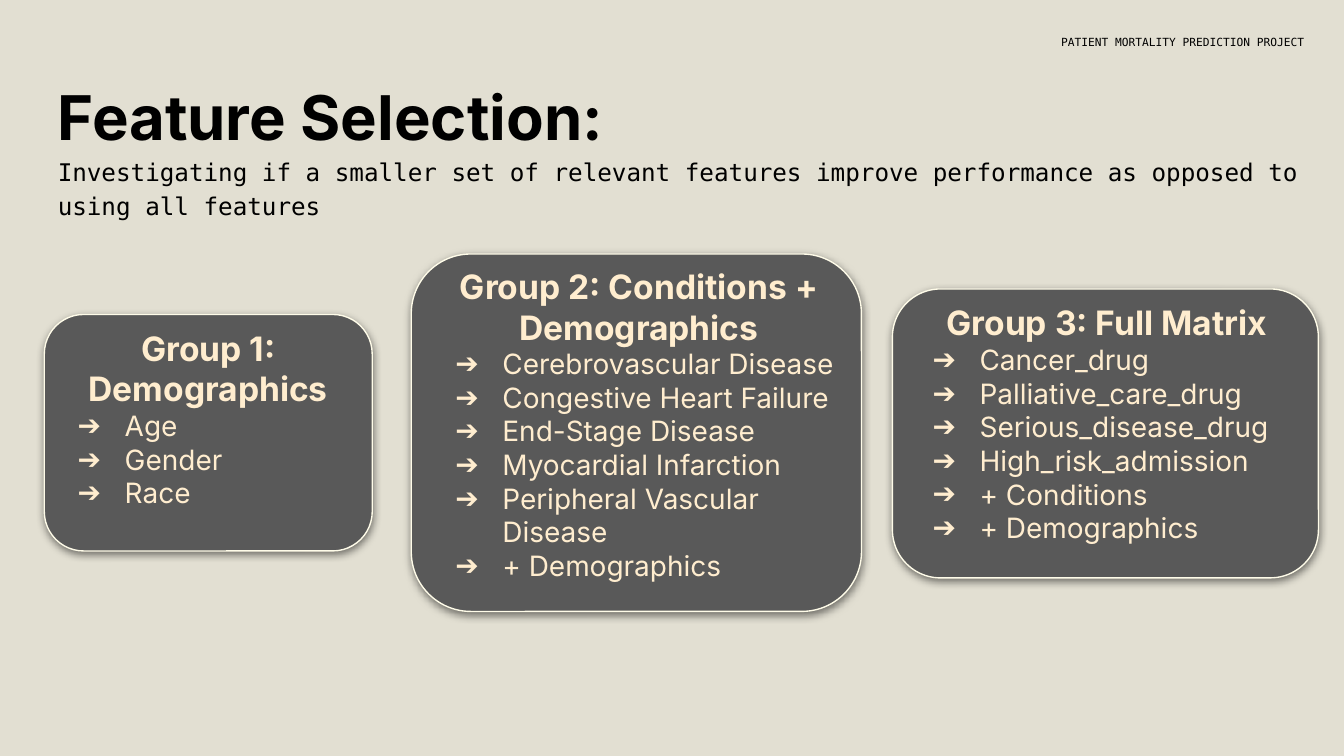
from lxml import etree
from pptx import Presentation
from pptx.dml.color import RGBColor
from pptx.enum import shapes, text
from pptx.oxml import ns
from pptx.util import Inches, Pt

# Content
TITLE = "Feature Selection:"
INTRO = ("Investigating if a smaller set of relevant features improve "
         "performance as opposed to using all features")
HEADER = "PATIENT MORTALITY PREDICTION PROJECT"
GROUPS = [
    {"head": "Group 1: Demographics",
     "items": ["Age", "Gender", "Race"],
     "card": (0.33, 2.34, 2.44, 1.76), "text": (0.33, 2.34, 2.44, 1.68)},
    {"head": "Group 2: Conditions + Demographics",
     "items": ["Cerebrovascular Disease", "Congestive Heart Failure",
               "End-Stage Disease", "Myocardial Infarction",
               "Peripheral Vascular Disease", "+ Demographics"],
     "card": (3.06, 1.89, 3.35, 2.66), "text": (3.14, 1.88, 3.23, 2.35)},
    {"head": "Group 3: Full Matrix",
     "items": ["Cancer_drug", "Palliative_care_drug", "Serious_disease_drug",
               "High_risk_admission", "+ Conditions", "+ Demographics"],
     "card": (6.64, 2.15, 3.17, 2.15), "text": (6.69, 2.15, 3.09, 1.94)},
]

# Style
SAND = RGBColor(0xE2, 0xDF, 0xD2)
GREY = RGBColor(0x59, 0x59, 0x59)
IVORY = RGBColor(0xFF, 0xFC, 0xE9)
CREAM = RGBColor(0xFF, 0xED, 0xCF)
BLACK = RGBColor(0, 0, 0)
SANS, MONO = "Inter", "DejaVu Sans Mono"
ALIGN = text.PP_ALIGN
ANCHOR = text.MSO_ANCHOR


def add_xml(parent, tag, **attrs):
    return etree.SubElement(parent, ns.qn(tag), attrs)


def place(shape, box):
    shape.left, shape.top, shape.width, shape.height = map(Inches, box)


def set_frame(shape, anchor=ANCHOR.TOP):
    frame = shape.text_frame
    frame.word_wrap = True
    frame.auto_size = text.MSO_AUTO_SIZE.NONE
    frame.vertical_anchor = anchor
    frame.margin_left = frame.margin_right = Inches(0.1)
    frame.margin_top = frame.margin_bottom = Inches(0.1)
    return frame


def write(frame, words, size, font=SANS, color=BLACK, bold=False,
          align=ALIGN.LEFT, spacing=1.0, bullet=False):
    para = frame.paragraphs[0]
    if para.runs:
        para = frame.add_paragraph()
    props = para._p.get_or_add_pPr()
    props.set("marL", str(Inches(0.5 if bullet else 0)))
    props.set("indent", str(Inches(-0.35 if bullet else 0)))
    if bullet:
        add_xml(add_xml(props, "a:buClr"), "a:srgbClr", val=str(color))
        add_xml(props, "a:buSzPts", val=str(size * 100))
        add_xml(props, "a:buFont", typeface=font)
        add_xml(props, "a:buChar", char="➔")
    else:
        add_xml(props, "a:buNone")
    para.alignment, para.line_spacing = align, spacing
    para.space_before = Pt(0)
    run = para.add_run()
    run.text = words
    run.font.name, run.font.size = font, Pt(size)
    run.font.bold, run.font.color.rgb = bold, color


def add_card(slide, box):
    card = slide.shapes.add_shape(shapes.MSO_SHAPE.ROUNDED_RECTANGLE,
                                  *map(Inches, box))
    card.fill.solid()
    card.fill.fore_color.rgb = GREY
    card.line.color.rgb = IVORY
    card.line.width = Pt(0.75)
    # Soft shadow straight below
    effects = add_xml(card._element.spPr, "a:effectLst")
    shade = add_xml(effects, "a:outerShdw", blurRad=str(Pt(4.5)),
                    dist=str(Pt(1.5)), dir="5400000", algn="bl",
                    rotWithShape="0")
    tone = add_xml(shade, "a:srgbClr", val="000000")
    add_xml(tone, "a:alpha", val="50000")


def main():
    deck = Presentation()
    # Widescreen, 16 to 9
    deck.slide_width = Inches(10)
    deck.slide_height = deck.slide_width * 9 // 16
    slide = deck.slides.add_slide(deck.slide_layouts[1])
    slide.background.fill.solid()
    slide.background.fill.fore_color.rgb = SAND

    # Title and introduction
    title, body = slide.placeholders
    place(title, (0.33, 0.55, 9.48, 0.7))
    write(set_frame(title), TITLE, 33, bold=True, spacing=0.9)
    place(body, (0.33, 1.04, 9.48, 0.78))
    write(set_frame(body), INTRO, 13, font=MONO, spacing=1.15)

    # Project name in the corner
    note = slide.shapes.add_textbox(*map(Inches, (7.72, 0.18, 2.08, 0.26)))
    write(set_frame(note, ANCHOR.MIDDLE), HEADER, 6, font=MONO,
          align=ALIGN.RIGHT)

    # Feature groups
    for group in GROUPS:
        add_card(slide, group["card"])
        label = slide.shapes.add_textbox(*map(Inches, group["text"]))
        frame = set_frame(label)
        write(frame, group["head"], 18, color=CREAM, bold=True,
              align=ALIGN.CENTER)
        for item in group["items"]:
            write(frame, item, 15, color=CREAM, bullet=True)

    deck.save("out.pptx")


if __name__ == "__main__":
    main()
